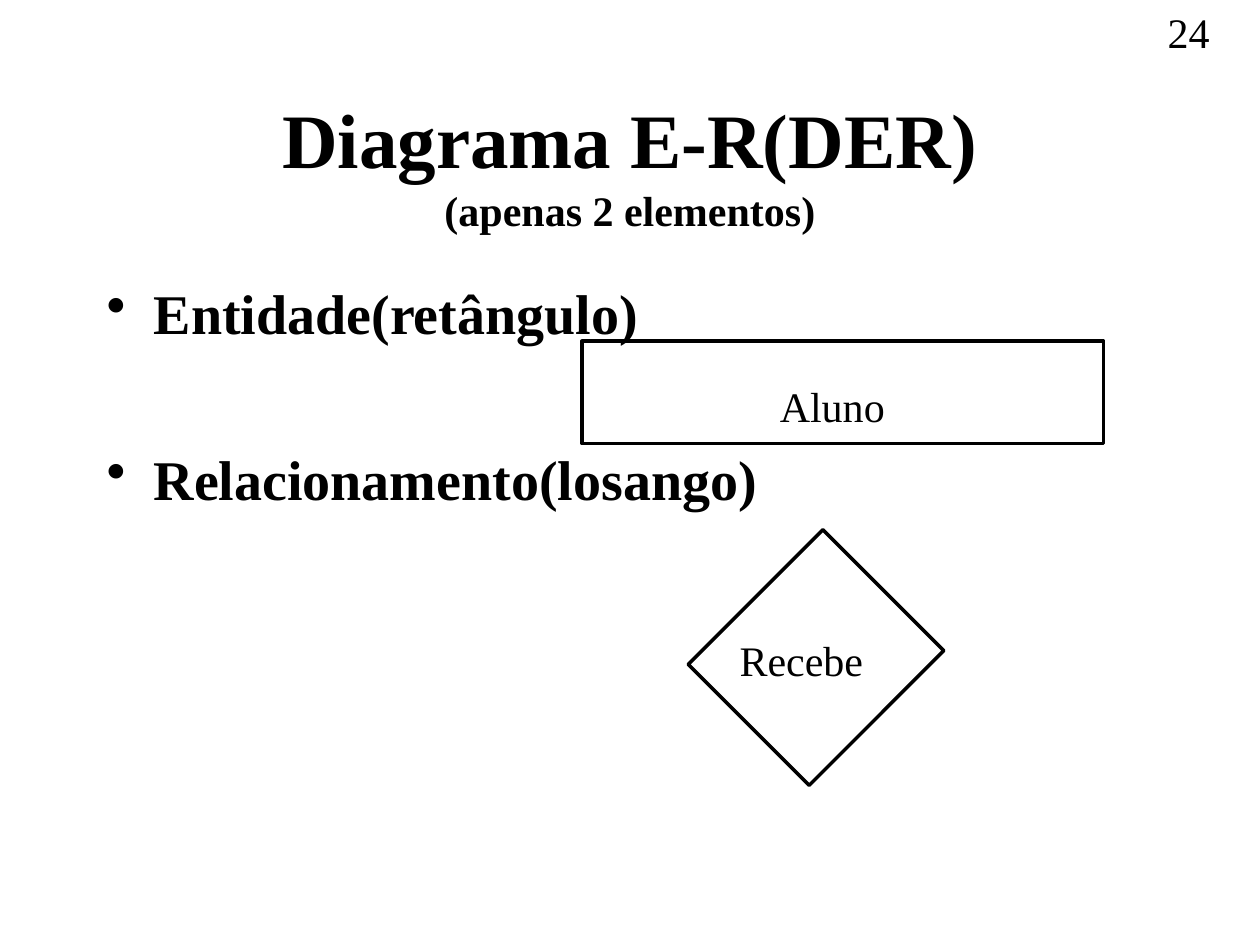
from lxml.etree import SubElement
from pptx import Presentation
from pptx.dml.color import RGBColor
from pptx.enum.shapes import MSO_SHAPE
from pptx.enum.text import MSO_ANCHOR, PP_ALIGN
from pptx.oxml.ns import qn
from pptx.util import Cm, Pt

FONT = "Times New Roman"
BLACK = "000000"


def rgb(value):
    return RGBColor.from_string(value)


def add_run(p, text, size, bold=False):
    r = p.add_run()
    r.text = text
    r.font.name = FONT
    r.font.size = Pt(size)
    r.font.bold = bold
    r.font.color.rgb = rgb(BLACK)


def add_text_frame(s, box, wrap=True):
    tf = s.shapes.add_textbox(*map(Cm, box)).text_frame
    tf.word_wrap = wrap
    return tf


def add_page_number(s, box, number):
    add_run(add_text_frame(s, box).paragraphs[0], number, 24)


def add_title(s, box, title, subtitle):
    tf = add_text_frame(s, box)
    tf.vertical_anchor = MSO_ANCHOR.MIDDLE
    p = tf.paragraphs[0]
    p.alignment = PP_ALIGN.CENTER
    add_run(p, title, 44, bold=True)
    p.add_line_break()
    add_run(p, subtitle, 24, bold=True)


def add_bullets(s, box, items):
    tf = add_text_frame(s, box)
    for i, item in enumerate(items):
        p = tf.paragraphs[0] if i == 0 else tf.add_paragraph()
        if i:
            p.space_before = Pt(56)  # leaves room for the symbol in between
        pPr = p._p.get_or_add_pPr()
        pPr.set("marL", str(Cm(0.95)))
        pPr.set("indent", str(-Cm(0.95)))
        SubElement(pPr, qn("a:buChar")).set("char", "•")
        add_run(p, item, 32, bold=True)


def add_symbol(s, box, label, label_box, rotation=0):
    """Outlined rectangle with a label placed relative to its box."""
    left, top, width, height = box
    sp = s.shapes.add_shape(MSO_SHAPE.RECTANGLE, *map(Cm, box))
    sp.rotation = rotation
    sp.shadow.inherit = False
    sp.fill.background()
    sp.line.color.rgb = rgb(BLACK)
    sp.line.width = Pt(2)

    dx, dy, label_width, label_height = label_box
    tf = add_text_frame(
        s, (left + dx, top + dy, label_width, label_height), wrap=False)
    add_run(tf.paragraphs[0], label, 24)


def main():
    prs = Presentation()
    prs.slide_width, prs.slide_height = Cm(25.4), Cm(19.05)
    s = prs.slides.add_slide(prs.slide_layouts[6])

    # Heading
    add_page_number(s, (23.29, 0, 2.11, 1.27), "24")
    add_title(s, (1.9, 1.7, 21.6, 3.18),
              "Diagrama E-R(DER)", "(apenas 2 elementos)")

    # The two elements of the diagram
    add_bullets(s, (1.9, 5.5, 21.6, 11.43),
                ["Entidade(retângulo)", "Relacionamento(losango)"])

    # Entity rectangle and relationship diamond
    add_symbol(s, (11.73, 6.88, 10.52, 2.06), "Aluno",
               (3.74, 0.66, 2.64, 1.27))
    add_symbol(s, (14.53, 11.53, 3.84, 3.45), "Recebe",
               (0.13, 1.14, 3, 1.27), rotation=315)

    prs.save("out.pptx")


if __name__ == "__main__":
    main()
